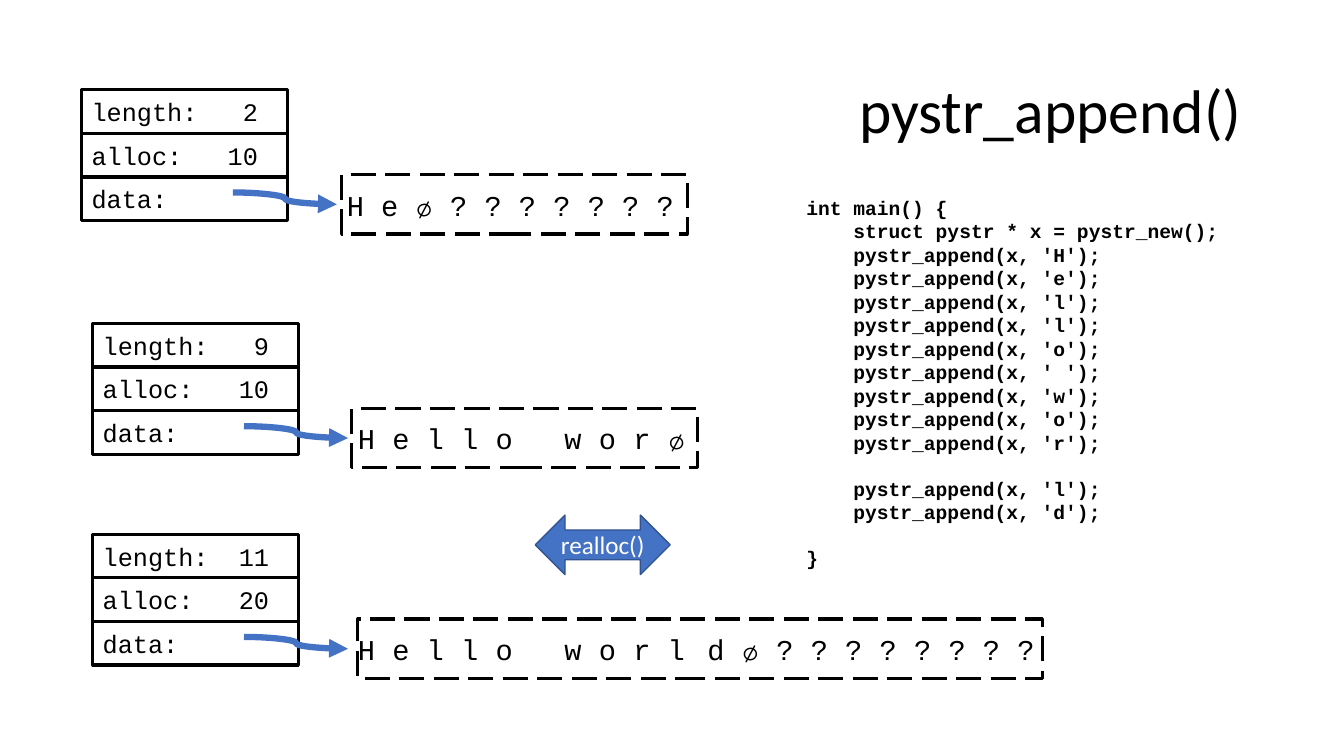
"""Draw how pystr_append() fills and reallocates a string buffer."""
from dataclasses import dataclass

from lxml import etree
from pptx import Presentation
from pptx import util as u
from pptx.dml.color import RGBColor
from pptx.enum import dml, shapes, text
from pptx.oxml import ns

BLACK = RGBColor(0, 0, 0)
WHITE = RGBColor(255, 255, 255)
BLUE = RGBColor(0x44, 0x72, 0xC4)
NAVY = RGBColor(0x32, 0x54, 0x91)
MONO = "Courier New"
SANS = "Calibri"
ROW = 1.1


@dataclass
class Box:
    left: float
    top: float
    width: float
    height: float

    def cm(self) -> tuple:
        return tuple(u.Cm(v) for v in (self.left, self.top, self.width, self.height))


@dataclass
class Record:
    left: float
    top: float
    length: int
    alloc: int
    chars: str
    shift: float
    width: float
    span: float


RECORDS = [
    Record(2.34, 8.15, 9, 10, "Hello wor∅", 6.53, 8.71, 9.07),
    Record(2.06, 2.26, 2, 10, "He∅" + "?" * 7, 6.55, 8.71, 9.07),
    Record(2.34, 13.46, 11, 20, "Hello worl", 6.68, 17.25, 21.18),
]


def style(frame, size: float, font: str, color: RGBColor = BLACK, bold: bool = False) -> None:
    for para in frame.paragraphs:
        for run in para.runs:
            run.font.size = u.Pt(size)
            run.font.name = font
            run.font.bold = bold
            run.font.color.rgb = color


def rect(slide, box: Box):
    shape = slide.shapes.add_shape(shapes.MSO_SHAPE.RECTANGLE, *box.cm())
    shape.shadow.inherit = False
    shape.fill.background()
    shape.line.color.rgb = BLACK
    shape.line.width = u.Pt(2.25)
    return shape


def field(slide, box: Box, label: str) -> None:
    frame = rect(slide, box).text_frame
    frame.vertical_anchor = text.MSO_ANCHOR.MIDDLE
    para = frame.paragraphs[0]
    para.alignment = text.PP_ALIGN.LEFT
    tabs = etree.SubElement(para._p.get_or_add_pPr(), ns.qn("a:tabLst"))
    etree.SubElement(tabs, ns.qn("a:tab"), pos=str(u.Cm(4.19)), algn="r")
    para.text = label
    style(frame, 18, MONO)


def cells(slide, box: Box, chars: str) -> None:
    frame = slide.shapes.add_textbox(*box.cm()).text_frame
    frame.word_wrap = True
    frame.text = " ".join(chars)
    style(frame, 20.5, MONO)


def arrow(slide, left: float, top: float) -> None:
    ends = (u.Cm(v) for v in (left, top, left + 2.62, top + 0.3))
    line = slide.shapes.add_connector(shapes.MSO_CONNECTOR.CURVE, *ends)
    line.line.color.rgb = BLUE
    line.line.width = u.Pt(4.5)
    etree.SubElement(line.line._get_or_add_ln(), ns.qn("a:tailEnd"), type="triangle")
    etree.SubElement(line._element.spPr, ns.qn("a:effectLst"))


def record(slide, rec: Record) -> None:
    buffer = rect(slide, Box(rec.left + rec.shift, rec.top + 2.14, rec.width, 1.5))
    buffer.line.dash_style = dml.MSO_LINE.LONG_DASH
    cells(slide, Box(rec.left + 6.43, rec.top + 2.34, rec.span, 1.14), rec.chars)
    labels = [f"length:\t{rec.length}", f"alloc:\t{rec.alloc}", "data:"]
    for i, label in enumerate(labels):
        field(slide, Box(rec.left, rec.top + i * ROW, 5.18, ROW), label)
    arrow(slide, rec.left + 3.81, rec.top + 2.59)


def title(slide) -> None:
    head = slide.shapes.title
    head.left, head.top, head.width, head.height = Box(2.34, 1.02, 29.21, 3.68).cm()
    frame = head.text_frame
    frame.text = "pystr_append()"
    frame.vertical_anchor = text.MSO_ANCHOR.MIDDLE
    frame.paragraphs[0].alignment = text.PP_ALIGN.RIGHT
    frame.paragraphs[0].line_spacing = 0.9
    style(frame, 44, SANS)


def code(slide) -> None:
    frame = slide.shapes.add_textbox(*Box(20.07, 4.8, 10.95, 9.83).cm()).text_frame
    frame.word_wrap = False
    calls = [f"    pystr_append(x, '{char}');" for char in "Hello world"]
    start = ["int main() {", "    struct pystr * x = pystr_new();"]
    frame.text = "\n".join(start + calls + ["}"])
    for i in (-3, -1):
        frame.paragraphs[i].space_before = u.Pt(15.9)
    style(frame, 14, MONO, bold=True)


def resize(slide) -> None:
    shape = slide.shapes.add_shape(
        shapes.MSO_SHAPE.LEFT_RIGHT_ARROW, *Box(13.49, 12.98, 3.4, 1.5).cm())
    shape.shadow.inherit = False
    shape.fill.solid()
    shape.fill.fore_color.rgb = BLUE
    shape.line.color.rgb = NAVY
    shape.line.width = u.Pt(1)
    frame = shape.text_frame
    frame.text = "realloc()"
    frame.vertical_anchor = text.MSO_ANCHOR.MIDDLE
    frame.paragraphs[0].alignment = text.PP_ALIGN.CENTER
    style(frame, 18, SANS, WHITE)


def main() -> None:
    deck = Presentation()
    deck.slide_width, deck.slide_height = u.Cm(33.87), u.Cm(19.05)
    slide = deck.slides.add_slide(deck.slide_layouts[5])
    code(slide)
    title(slide)
    for rec in RECORDS:
        record(slide, rec)
    cells(slide, Box(17.58, 15.8, 9.19, 1.14), "d∅" + "?" * 8)
    resize(slide)
    deck.save("out.pptx")


if __name__ == "__main__":
    main()
